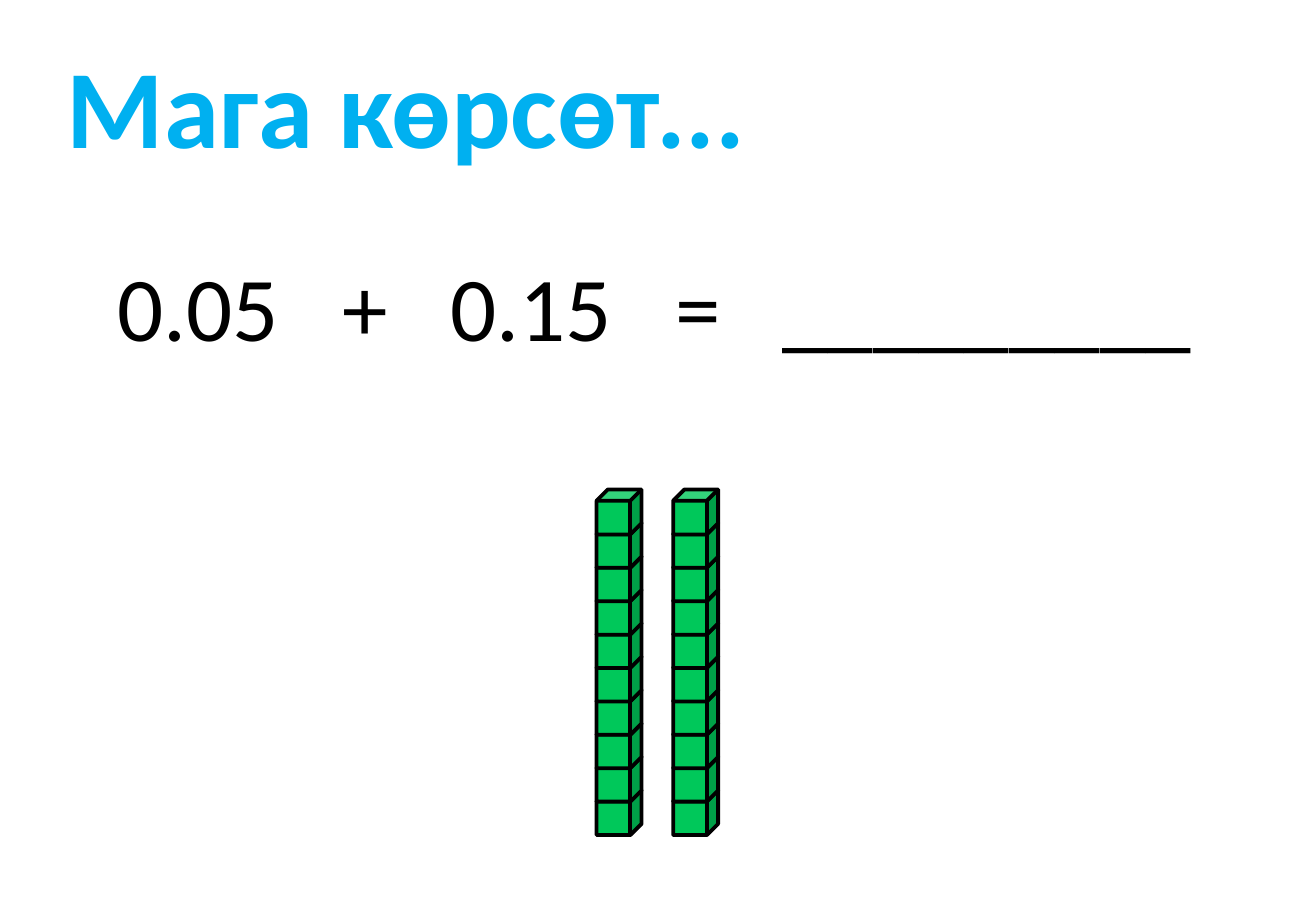
from dataclasses import dataclass

import pptx
import pptx.dml.color
import pptx.enum.shapes
import pptx.enum.text
import pptx.oxml.ns
import pptx.util
from lxml import etree

Inches = pptx.util.Inches
Pt = pptx.util.Pt
RGB = pptx.dml.color.RGBColor


@dataclass(frozen=True)
class Theme:
    """Colours, font and sizes of the slide."""
    font: str = "Calibri"
    title: RGB = RGB(0x00, 0xB0, 0xF0)
    ink: RGB = RGB(0, 0, 0)
    cube: RGB = RGB(0x00, 0xC8, 0x5A)
    title_size: float = 66
    sum_size: float = 54
    outline: float = 2.25


THEME = Theme()


def style_text(p, size, color, bold):
    """Format every run of a paragraph."""
    for r in p.runs:
        r.font.name = THEME.font
        r.font.size = Pt(size)
        r.font.bold = bold
        r.font.color.rgb = color


def add_title(s, text, left, top, width, height):
    """Place the title placeholder in its box."""
    sp = s.shapes.title
    sp.left, sp.top = Inches(left), Inches(top)
    sp.width, sp.height = Inches(width), Inches(height)
    tf = sp.text_frame
    tf.text = text
    tf.word_wrap = True
    tf.auto_size = pptx.enum.text.MSO_AUTO_SIZE.NONE
    tf.vertical_anchor = pptx.enum.text.MSO_ANCHOR.TOP
    tf.margin_left = Inches(0.31)
    p = tf.paragraphs[0]
    p.alignment = pptx.enum.text.PP_ALIGN.LEFT
    style_text(p, THEME.title_size, THEME.title, True)


def add_sum(s, parts, stops, left, top, width, height):
    """Write the parts of a sum on one line, each at its tab stop."""
    sp = s.shapes.add_textbox(
        Inches(left), Inches(top), Inches(width), Inches(height))
    tf = sp.text_frame
    tf.word_wrap = True
    tf.text = "\t".join(parts)
    p = tf.paragraphs[0]
    qn = pptx.oxml.ns.qn
    tabs = etree.SubElement(p._p.get_or_add_pPr(), qn("a:tabLst"))
    for stop in stops:
        etree.SubElement(tabs, qn("a:tab"), pos=str(Inches(stop)), algn="l")
    style_text(p, THEME.sum_size, THEME.ink, False)


def add_ten_rod(s, left, top, size, step, count=10):
    """Stack cubes from the bottom up into one grouped rod."""
    rod = s.shapes.add_group_shape()
    for i in reversed(range(count)):
        sp = rod.shapes.add_shape(
            pptx.enum.shapes.MSO_SHAPE.CUBE, Inches(left),
            Inches(top + i * step), Inches(size), Inches(size))
        sp.shadow.inherit = False
        sp.fill.solid()
        sp.fill.fore_color.rgb = THEME.cube
        sp.line.color.rgb = THEME.ink
        sp.line.width = Pt(THEME.outline)


def main():
    """Build the slide and save it."""
    prs = pptx.Presentation()
    prs.slide_width, prs.slide_height = Inches(10.83), Inches(7.5)
    s = prs.slides.add_slide(prs.slide_layouts[5])
    add_title(s, "Мага көрсөт...", 0.24, 0.26, 7.54, 1.21)
    add_sum(s, ["0.05", "+", "0.15", "=", "_" * 9],
            [1.85, 2.74, 4.59, 5.47], 0.87, 2.01, 9.1, 1.01)
    for column in range(2):
        add_ten_rod(s, 4.91 + column * 0.63, 4.03, 0.37, 0.275)
    prs.save("out.pptx")


if __name__ == "__main__":
    main()
